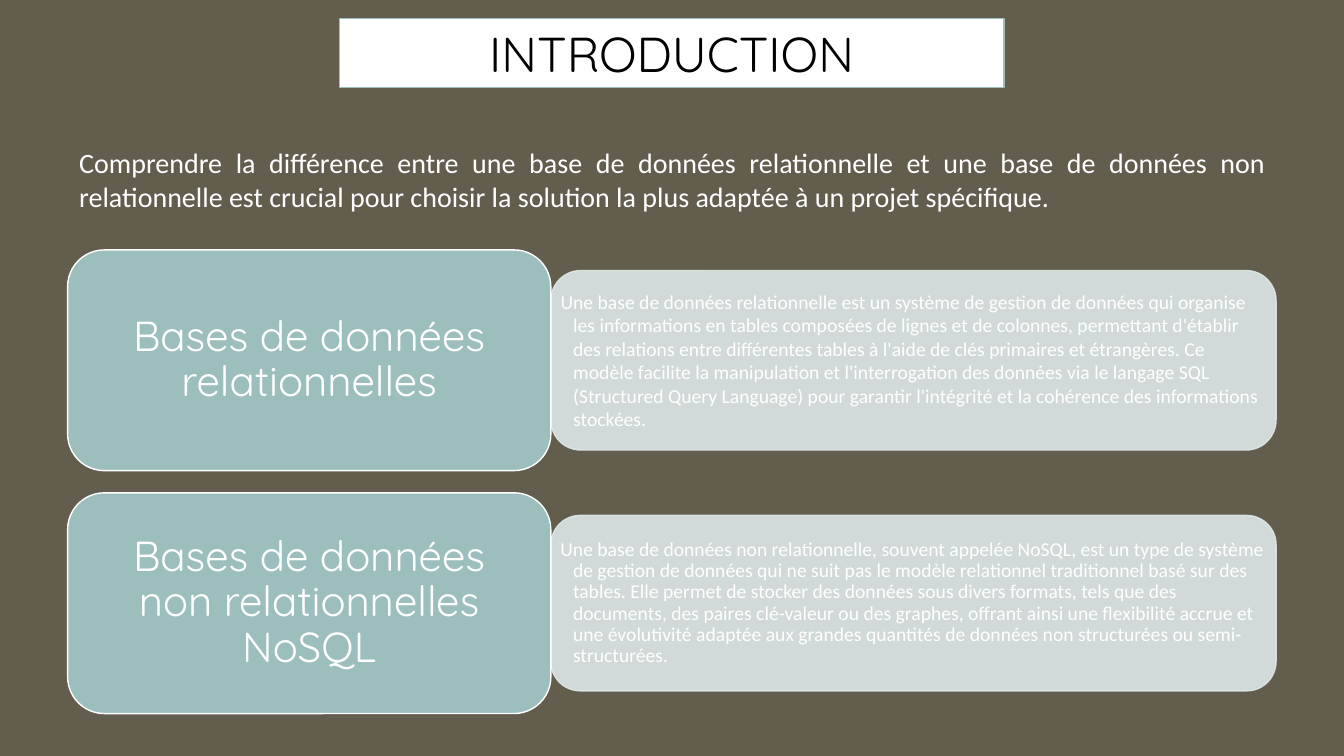
from dataclasses import dataclass

from lxml import etree
from pptx import Presentation
from pptx import util as u
from pptx.dml.color import RGBColor
from pptx.enum import shapes, text
from pptx.oxml import ns


@dataclass(frozen=True)
class Theme:
    # Colours
    background: str = "635D4D"
    accent: str = "9CBEBD"
    pale: str = "DEE8E8"
    light: str = "FFFFFF"
    dark: str = "000000"
    pale_opacity: int = 90
    # Fonts and type sizes
    heading_font: str = "Quicksand"
    body_font: str = "Calibri"
    title_size: float = 35
    heading_size: float = 30
    intro_size: float = 20
    detail_size: float = 14


def write(frame, words, *, font, size, color, align=text.PP_ALIGN.LEFT,
          spacing=1.0, hanging=0, insets=(7.2, 3.6)):
    """Fill a text frame with one formatted paragraph; lengths in points."""
    frame.word_wrap = True
    frame.auto_size = text.MSO_AUTO_SIZE.NONE
    frame.vertical_anchor = text.MSO_ANCHOR.MIDDLE
    frame.margin_left = frame.margin_right = u.Pt(insets[0])
    frame.margin_top = frame.margin_bottom = u.Pt(insets[1])
    paragraph = frame.paragraphs[0]
    paragraph.alignment = align
    paragraph.line_spacing = spacing
    if hanging:
        properties = paragraph._p.get_or_add_pPr()
        properties.set("marL", str(u.Pt(hanging)))
        properties.set("indent", str(-u.Pt(hanging)))
    run = paragraph.add_run()
    run.text = words
    run.font.name = font
    run.font.size = u.Pt(size)
    run.font.color.rgb = RGBColor.from_string(color)


class SlideBuilder:
    def __init__(self, slide, theme):
        self.slide = slide
        self.theme = theme
        slide.background.fill.solid()
        slide.background.fill.fore_color.rgb = RGBColor.from_string(theme.background)

    def paint(self, shape, fill, line, opacity=100):
        shape.fill.solid()
        shape.fill.fore_color.rgb = RGBColor.from_string(fill)
        shape.line.color.rgb = RGBColor.from_string(line)
        shape.line.width = u.Pt(1)
        if opacity < 100:
            for color in shape._element.spPr.iter(ns.qn("a:srgbClr")):
                etree.SubElement(color, ns.qn("a:alpha"), val=str(opacity * 1000))

    def title(self, words, left, top, width, height):
        title = self.slide.shapes.title
        title.left, title.top = u.Pt(left), u.Pt(top)
        title.width, title.height = u.Pt(width), u.Pt(height)
        self.paint(title, self.theme.light, self.theme.accent)
        write(title.text_frame, words, font=self.theme.heading_font,
              size=self.theme.title_size, color=self.theme.dark,
              align=text.PP_ALIGN.CENTER)

    def intro(self, words, *box):
        intro = self.slide.shapes.add_textbox(*map(u.Pt, box))
        write(intro.text_frame, words, font=self.theme.body_font,
              size=self.theme.intro_size, color=self.theme.light,
              align=text.PP_ALIGN.JUSTIFY)

    def panel(self, kind, box, fill, line, opacity=100):
        panel = self.slide.shapes.add_shape(kind, *map(u.Pt, box))
        panel.shadow.inherit = False
        self.paint(panel, fill, line, opacity)
        return panel.text_frame

    def detail(self, words, spacing, *box):
        frame = self.panel(shapes.MSO_SHAPE.FLOWCHART_ALTERNATE_PROCESS, box,
                           self.theme.pale, self.theme.pale, self.theme.pale_opacity)
        write(frame, words, font=self.theme.body_font, size=self.theme.detail_size,
              color=self.theme.light, spacing=spacing, hanging=9, insets=(0.7, 0.7))

    def heading(self, words, *box):
        frame = self.panel(shapes.MSO_SHAPE.ROUNDED_RECTANGLE, box,
                           self.theme.accent, self.theme.light)
        write(frame, words, font=self.theme.heading_font, size=self.theme.heading_size,
              color=self.theme.light, align=text.PP_ALIGN.CENTER, spacing=0.9,
              insets=(9, 4.5))


# Database families: heading, description, description height, line spacing
FAMILIES = [
    ("Bases de données relationnelles",
     "Une base de données relationnelle est un système de gestion de données qui "
     "organise les informations en tables composées de lignes et de colonnes, "
     "permettant d'établir des relations entre différentes tables à l'aide de clés "
     "primaires et étrangères. Ce modèle facilite la manipulation et l'interrogation "
     "des données via le langage SQL (Structured Query Language) pour garantir "
     "l'intégrité et la cohérence des informations stockées.", 128.2, 1.0),
    ("Bases de données non relationnelles NoSQL",
     "Une base de données non relationnelle, souvent appelée NoSQL, est un type de "
     "système de gestion de données qui ne suit pas le modèle relationnel "
     "traditionnel basé sur des tables. Elle permet de stocker des données sous "
     "divers formats, tels que des documents, des paires clé-valeur ou des graphes, "
     "offrant ainsi une flexibilité accrue et une évolutivité adaptée aux grandes "
     "quantités de données non structurées ou semi-structurées.", 125.3, 0.9),
]

# Row geometry in points
ROWS_TOP, ROW_HEIGHT, ROW_GAP = 178.5, 157.7, 15.8
HEADING_LEFT, HEADING_WIDTH = 48.3, 345.2
DETAIL_WIDTH = 518


def main():
    deck = Presentation()
    deck.slide_width, deck.slide_height = u.Pt(960), u.Pt(540)
    title_only = deck.slide_layouts[5]
    builder = SlideBuilder(deck.slides.add_slide(title_only), Theme())

    # Title and introduction
    builder.title("INTRODUCTION", 242.6, 13, 474.5, 49.7)
    builder.intro("Comprendre la différence entre une base de données relationnelle et "
                  "une base de données non relationnelle est crucial pour choisir la "
                  "solution la plus adaptée à un projet spécifique.",
                  49.5, 100.2, 861.8, 55.4)

    # One row per family, description centred on its heading
    for row, (family, description, height, spacing) in enumerate(FAMILIES):
        top = ROWS_TOP + row * (ROW_HEIGHT + ROW_GAP)
        builder.detail(description, spacing, HEADING_LEFT + HEADING_WIDTH,
                       top + (ROW_HEIGHT - height) / 2, DETAIL_WIDTH, height)
        builder.heading(family, HEADING_LEFT, top, HEADING_WIDTH, ROW_HEIGHT)

    deck.save("out.pptx")


if __name__ == "__main__":
    main()
